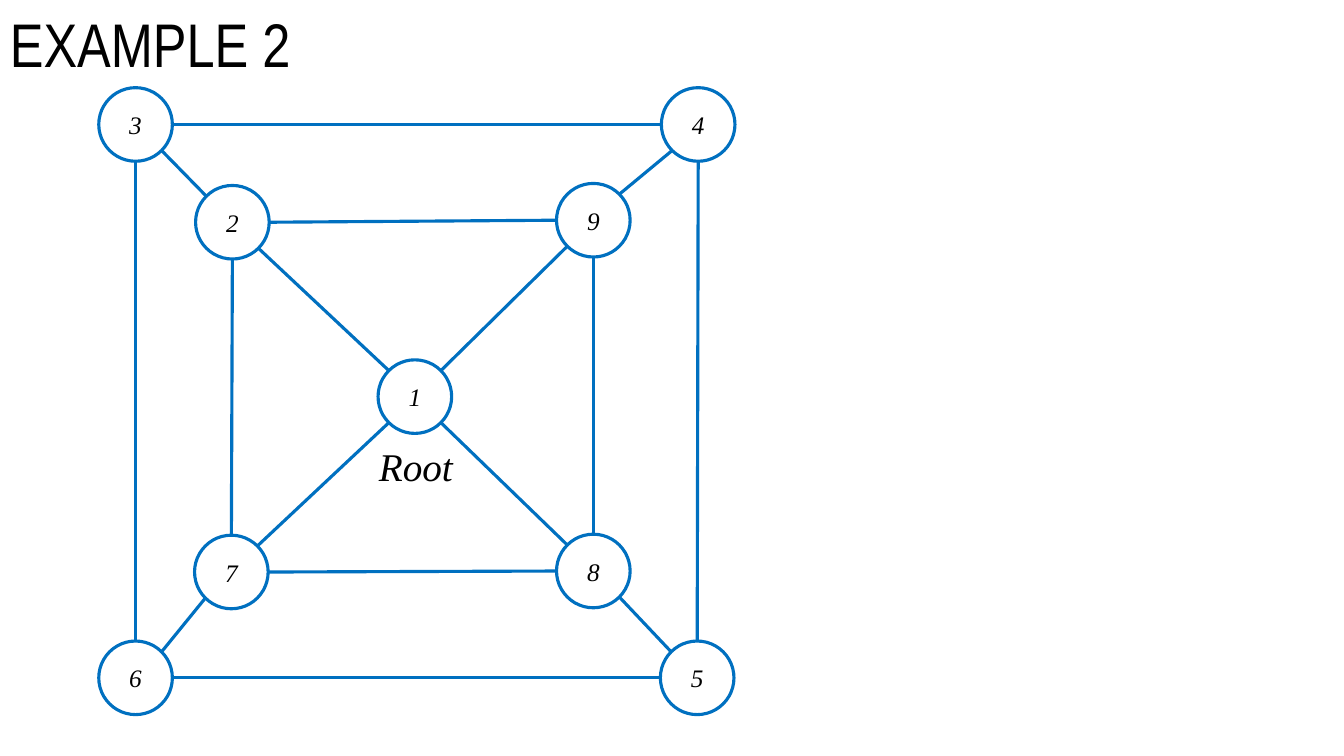
from math import copysign, hypot

from lxml.etree import SubElement
from pptx import Presentation
from pptx.dml.color import RGBColor
from pptx.enum.shapes import MSO_CONNECTOR, MSO_SHAPE
from pptx.enum.text import MSO_ANCHOR, MSO_AUTO_SIZE, PP_ALIGN
from pptx.oxml.ns import qn
from pptx.util import Inches, Pt

COLORS = {"edge": "0070C0", "node": "FFFFFF", "text": "000000"}
TITLE_FONT = {"name": "Arial Narrow", "size": Pt(44)}
NODE_FONT = {"name": "Times New Roman", "size": Pt(18), "italic": True}
ROOT_FONT = {"name": "Times New Roman", "size": Pt(28), "italic": True}

DIAMETER = 0.73
LINE_WIDTH = Pt(2.25)

# Left and top of each graph node
NODES = {
    1: (3.75, 3.57),
    2: (1.94, 1.84), 9: (5.52, 1.82), 8: (5.52, 5.3), 7: (1.93, 5.31),
    3: (0.98, 0.87), 4: (6.56, 0.87), 5: (6.55, 6.36), 6: (0.98, 6.36),
}
INNER_RING = [2, 9, 8, 7]
OUTER_RING = [3, 4, 5, 6]


def color(name):
    return RGBColor.from_string(COLORS[name])


def write_text(text_frame, text, font_format):
    paragraph = text_frame.paragraphs[0]
    paragraph.text = text
    for attribute, value in font_format.items():
        setattr(paragraph.font, attribute, value)
    paragraph.font.color.rgb = color("text")
    return paragraph


def add_label(slide, text, box, font_format, frame_format):
    text_frame = slide.shapes.add_textbox(*map(Inches, box)).text_frame
    for attribute, value in frame_format.items():
        setattr(text_frame, attribute, value)
    return write_text(text_frame, text, font_format)


def add_node(slide, number):
    left, top = NODES[number]
    box = map(Inches, (left, top, DIAMETER, DIAMETER))
    shape = slide.shapes.add_shape(MSO_SHAPE.OVAL, *box)
    shape.shadow.inherit = False
    shape.fill.solid()
    shape.fill.fore_color.rgb = color("node")
    shape.line.color.rgb = color("edge")
    shape.line.width = LINE_WIDTH
    shape.text_frame.vertical_anchor = MSO_ANCHOR.MIDDLE
    paragraph = write_text(shape.text_frame, str(number), NODE_FONT)
    paragraph.alignment = PP_ALIGN.CENTER


def direction(delta):
    return copysign(1, delta) if abs(delta) > 0.5 else 0


def add_edge(slide, first, second):
    """Join two circles at the nearest of their eight compass points."""
    radius = DIAMETER / 2
    start_x, start_y = (value + radius for value in NODES[first])
    end_x, end_y = (value + radius for value in NODES[second])
    step_x, step_y = direction(end_x - start_x), direction(end_y - start_y)
    reach = radius / hypot(step_x, step_y)
    points = (start_x + reach * step_x, start_y + reach * step_y,
              end_x - reach * step_x, end_y - reach * step_y)
    connector = slide.shapes.add_connector(
        MSO_CONNECTOR.STRAIGHT, *map(Inches, points))
    connector.line.color.rgb = color("edge")
    connector.line.width = LINE_WIDTH
    SubElement(connector._element.spPr, qn("a:effectLst"))


def main():
    presentation = Presentation()
    presentation.slide_width = Inches(13.33)
    presentation.slide_height = Inches(7.5)
    slide = presentation.slides.add_slide(presentation.slide_layouts[6])

    # Title
    title = add_label(slide, "EXAMPLE 2", (0, 0, 11.5, 0.94), TITLE_FONT,
                      {"word_wrap": True, "vertical_anchor": MSO_ANCHOR.MIDDLE})
    title.line_spacing = 0.9

    # Edges: both rings, the spokes to the root, and the corner links
    for ring in (INNER_RING, OUTER_RING):
        for first, second in zip(ring, ring[1:] + ring[:1]):
            add_edge(slide, first, second)
    for inner, outer in zip(INNER_RING, OUTER_RING):
        add_edge(slide, 1, inner)
        add_edge(slide, inner, outer)

    # Nodes and root label
    for number in NODES:
        add_node(slide, number)
    add_label(slide, "Root", (3.66, 4.34, 0.94, 0.57), ROOT_FONT,
              {"word_wrap": False, "auto_size": MSO_AUTO_SIZE.SHAPE_TO_FIT_TEXT})

    presentation.save("out.pptx")


if __name__ == "__main__":
    main()
